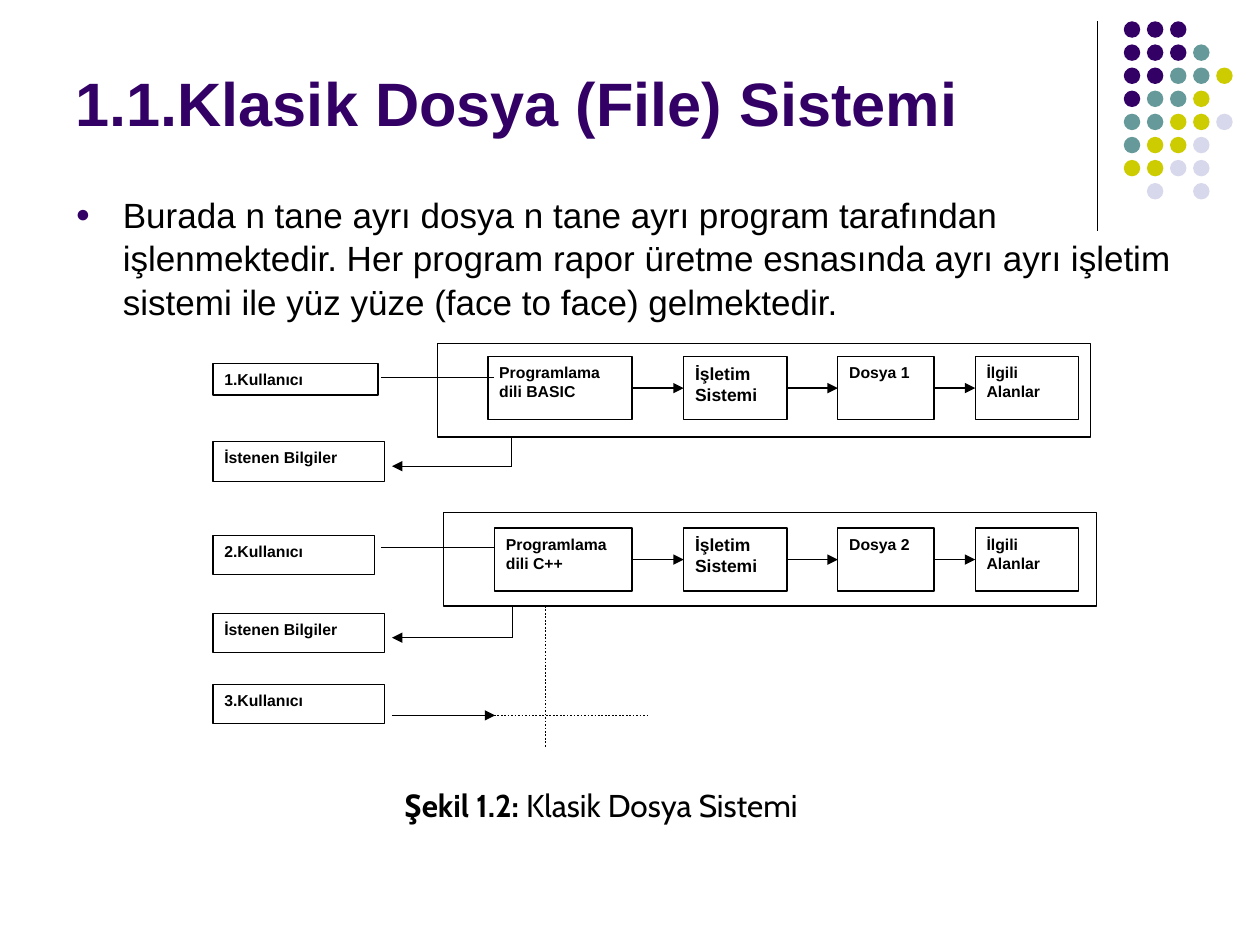
from lxml import etree
from pptx import Presentation
from pptx import util as u
from pptx.dml.color import RGBColor
from pptx.enum import dml, shapes, text
from pptx.oxml import ns

BLACK = RGBColor(0x00, 0x00, 0x00)
WHITE = RGBColor(0xFF, 0xFF, 0xFF)
PURPLE = RGBColor(0x33, 0x00, 0x66)
TEAL = RGBColor(0x66, 0x99, 0x99)
OLIVE = RGBColor(0xCC, 0xCC, 0x00)
LILAC = RGBColor(0xD8, 0xD8, 0xEC)

DOT_COLORS = {"P": PURPLE, "T": TEAL, "Y": OLIVE, "L": LILAC}
DOT_ROWS = ["PPP", "PPPT", "PPTTY", "PTTY", "TTYYL", "TYYL", "YYLL", ".L.L"]
TOP, LEFT, BOTTOM, RIGHT = range(4)


def add_xml(parent, tag, **attributes):
    return etree.SubElement(parent, ns.qn(tag), attributes)


class Painter:
    font = "Arial"
    line_width = 0.75
    label_size = 9

    def __init__(self, page):
        self.page = page

    def place(self, item, left, top, width, height):
        item.left, item.top = u.Pt(left), u.Pt(top)
        item.width, item.height = u.Pt(width), u.Pt(height)

    def span(self, para, words, size, color=BLACK, bold=False, font=None):
        span = para.add_run()
        span.text = words
        span.font.name = font or self.font
        span.font.size = u.Pt(size)
        span.font.bold = bold
        span.font.color.rgb = color

    def title(self, words, *area):
        box = self.page.shapes.title
        self.place(box, *area)
        frame = box.text_frame
        frame.auto_size = text.MSO_AUTO_SIZE.NONE
        frame.vertical_anchor = text.MSO_ANCHOR.BOTTOM
        para = frame.paragraphs[0]
        para.alignment = text.PP_ALIGN.LEFT
        self.span(para, words, 35, PURPLE, True)

    def bullet(self, words, *area):
        box = self.page.placeholders[1]
        self.place(box, *area)
        box.text_frame.auto_size = text.MSO_AUTO_SIZE.NONE
        para = box.text_frame.paragraphs[0]
        para.line_spacing = 1.04
        para.space_before = u.Pt(1)
        self.span(para, words, 20)
        properties = para._p.get_or_add_pPr()
        properties.set("marL", str(u.Pt(27)))
        properties.set("indent", str(u.Pt(-27)))
        add_xml(add_xml(properties, "a:buClr"), "a:srgbClr", val=str(PURPLE))
        add_xml(properties, "a:buSzPct", val="70000")
        add_xml(properties, "a:buFont", typeface=self.font)
        add_xml(properties, "a:buChar", char="●")

    def caption(self, heading, words, *area):
        box = self.page.shapes.add_textbox(*map(u.Pt, area))
        box.text_frame.word_wrap = True
        para = box.text_frame.paragraphs[0]
        self.span(para, heading, 18, bold=True, font="Cabin")
        self.span(para, words, 18, font="Cabin")

    def dot(self, left, top, size, color):
        dot = self.page.shapes.add_shape(
            shapes.MSO_SHAPE.OVAL, *map(u.Pt, (left, top, size, size)))
        dot.shadow.inherit = False
        dot.fill.solid()
        dot.fill.fore_color.rgb = color
        dot.line.fill.background()

    def rect(self, left, top, width, height, words="", size=label_size):
        box = self.page.shapes.add_shape(
            shapes.MSO_SHAPE.RECTANGLE, *map(u.Pt, (left, top, width, height)))
        box.shadow.inherit = False
        box.fill.solid()
        box.fill.fore_color.rgb = WHITE
        box.line.color.rgb = BLACK
        box.line.width = u.Pt(self.line_width)
        if words:
            frame = box.text_frame
            frame.word_wrap = True
            frame.vertical_anchor = text.MSO_ANCHOR.TOP
            frame.margin_left = frame.margin_right = u.Pt(6.5)
            frame.margin_top = frame.margin_bottom = u.Pt(3.6)
            para = frame.paragraphs[0]
            para.alignment = text.PP_ALIGN.LEFT
            self.span(para, words, size, bold=True)
        return box

    def line(self, x1, y1, x2, y2, arrow=False, dotted=False):
        line = self.page.shapes.add_connector(
            shapes.MSO_CONNECTOR.STRAIGHT, *map(u.Pt, (x1, y1, x2, y2)))
        line.line.color.rgb = BLACK
        line.line.width = u.Pt(1 if dotted else self.line_width)
        if dotted:
            line.line.dash_style = dml.MSO_LINE.ROUND_DOT
        if arrow:
            add_xml(line.line._get_or_add_ln(), "a:tailEnd", type="triangle")
        add_xml(line._element.spPr, "a:effectLst")
        return line

    def join(self, source, target):
        line = self.line(0, 0, 0, 0, arrow=True)
        line.begin_connect(source, RIGHT)
        line.end_connect(target, LEFT)


def draw_dots(painter):
    painter.line(627.1, 12.2, 627.1, 131.8)
    for row, codes in enumerate(DOT_ROWS):
        for column, code in enumerate(codes):
            if code in DOT_COLORS:
                painter.dot(642.2 + 13.2 * column, 12.2 + 13.2 * row, 9.4,
                            DOT_COLORS[code])


def draw_system(painter, number, language, shift, frame, program, user, link_y, turn_x):
    painter.line(turn_x, 248.4 + shift, turn_x, 266.4 + shift)
    painter.line(turn_x, 266.4 + shift, 224, 266.4 + shift, arrow=True)
    painter.rect(*frame, 373, 53.3)
    painter.rect(121.7, 252.5 + shift, 97.9, 22.5, "İstenen Bilgiler")
    painter.rect(121.7, *user, f"{number}.Kullanıcı")
    stages = [
        (*program, f"Programlama dili {language}", 9),
        (390.7, 59, "İşletim Sistemi", 10),
        (478.8, 55, f"Dosya {number}", 9),
        (557.3, 59, "İlgili Alanlar", 9),
    ]
    boxes = [painter.rect(left, 203.8 + shift, width, 36, words, size)
             for left, width, words, size in stages]
    for source, target in zip(boxes, boxes[1:]):
        painter.join(source, target)
    painter.line(218, link_y, 282.2, link_y)


def main():
    deck = Presentation()
    deck.slide_width, deck.slide_height = u.Pt(720), u.Pt(540)
    painter = Painter(deck.slides.add_slide(deck.slide_layouts[1]))
    draw_dots(painter)
    painter.title("1.1.Klasik Dosya (File) Sistemi", 36, -19.4, 594, 102.2)
    painter.bullet(
        "Burada n tane ayrı dosya n tane ayrı program tarafından işlenmektedir. "
        "Her program rapor üretme esnasında ayrı ayrı işletim sistemi ile yüz yüze "
        "(face to face) gelmektedir.", 36, 105.8, 648, 347)
    draw_system(painter, 1, "BASIC", 0, (250, 196.5), (278.8, 82.4),
                (207.8, 94.3, 18), 215.8, 292.5)
    draw_system(painter, 2, "C++", 98, (253.6, 293), (282.6, 78.6),
                (306, 92.2, 22.5), 313, 293)
    painter.rect(121.7, 391, 97.9, 22.5, "3.Kullanıcı")
    painter.line(311.8, 346.3, 311.8, 427, dotted=True)
    painter.line(224, 408.8, 283, 408.8, arrow=True)
    painter.line(282.2, 408.8, 370.8, 408.8, dotted=True)
    painter.caption("Şekil 1.2:", " Klasik Dosya Sistemi", 224, 445.7, 261.4, 28.8)
    deck.save("out.pptx")


if __name__ == "__main__":
    main()
